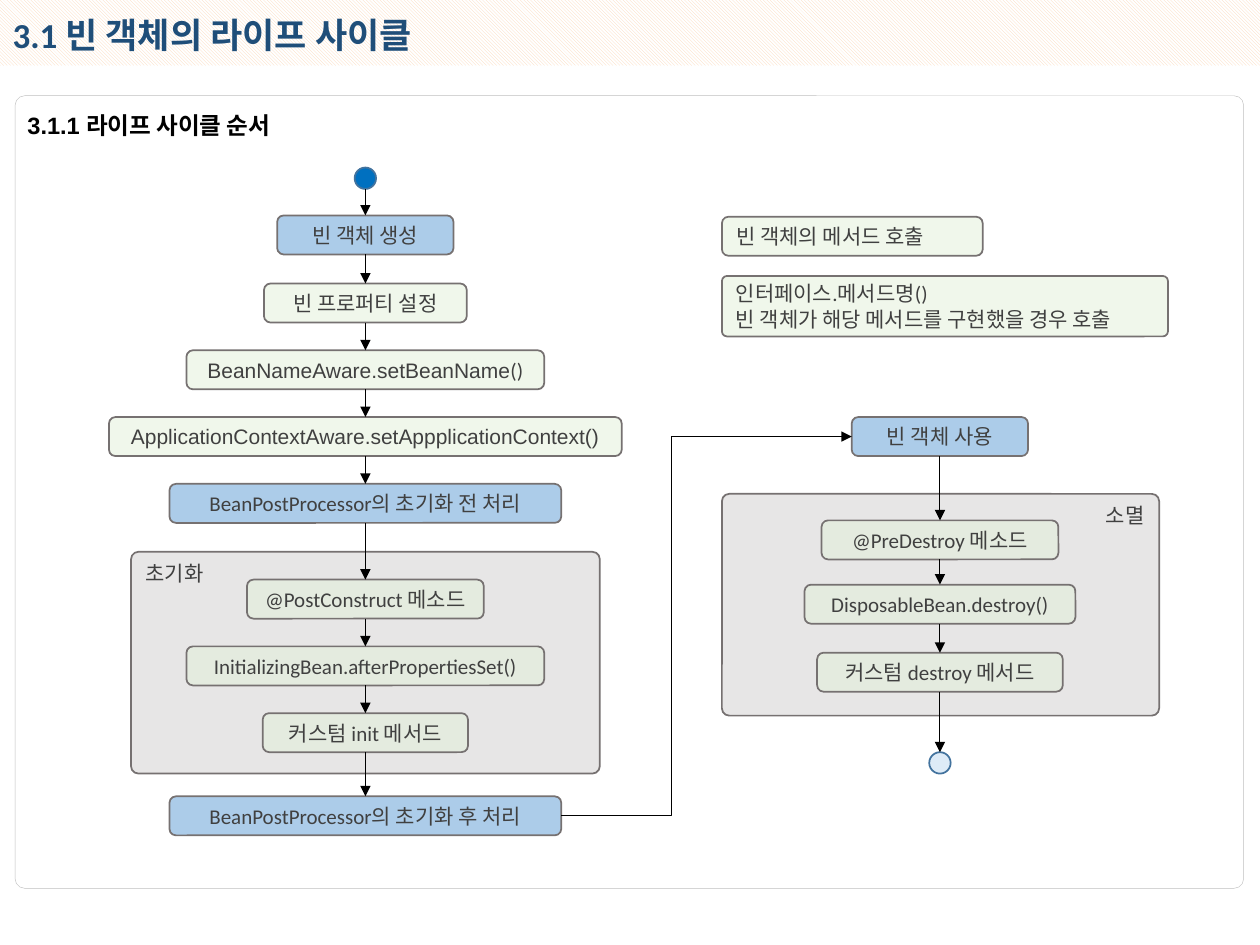
from dataclasses import dataclass

from lxml.etree import SubElement
from pptx import Presentation
from pptx.dml.color import RGBColor
from pptx.enum.dml import MSO_PATTERN as Pattern
from pptx.enum.shapes import MSO_CONNECTOR as Link, MSO_SHAPE as Shape
from pptx.enum.text import MSO_ANCHOR as Anchor, MSO_AUTO_SIZE as Fit, PP_ALIGN as Align
from pptx.oxml.ns import qn
from pptx.util import Inches, Pt


@dataclass(frozen=True)
class Theme:
    font: str = "Calibri"
    code_font: str = "Arial"
    title_size: float = 20
    heading_size: float = 13.5
    text_size: float = 12
    title: str = "1F4E79"
    black: str = "000000"
    text: str = "404040"
    outline: str = "767171"
    stage: str = "5B9BD5"
    call: str = "E2F0D9"
    group: str = "D0CECE"
    start: str = "0070C0"
    end: str = "DEEBF7"
    dot_line: str = "43739E"
    panel_line: str = "BFBFBF"
    band: str = "FCD5B5"
    white: str = "FFFFFF"


THEME = Theme()
NODE_HEIGHT, DOT = 0.31, 0.17
GROUP_HEIGHT, GROUP_CORNER = 1.76, 0.033

# Content
TITLE = "3.1 빈 객체의 라이프 사이클"
HEADING = "3.1.1 라이프 사이클 순서"

# Nodes: text, top, width, fill
CREATE_CENTER, CREATE_DOT_TOP = 2.9, 1.33
CREATE_FLOW = [
    ("빈 객체 생성", 1.71, 1.4, THEME.stage),
    ("빈 프로퍼티 설정", 2.25, 1.61, THEME.call),
    ("BeanNameAware.setBeanName()", 2.78, 2.84, THEME.call),
    ("ApplicationContextAware.setAppplicationContext()", 3.31, 4.07, THEME.call),
    ("BeanPostProcessor의 초기화 전 처리", 3.84, 3.11, THEME.stage),
    ("@PostConstruct 메소드", 4.6, 1.88, THEME.call),
    ("InitializingBean.afterPropertiesSet()", 5.13, 2.84, THEME.call),
    ("커스텀 init 메서드", 5.66, 1.63, THEME.call),
    ("BeanPostProcessor의 초기화 후 처리", 6.32, 3.11, THEME.stage),
]
USE_CENTER, USE_DOT_TOP = 7.46, 5.97
USE_FLOW = [
    ("빈 객체 사용", 3.31, 1.4, THEME.stage),
    ("@PreDestroy 메소드", 4.13, 1.88, THEME.call),
    ("DisposableBean.destroy()", 4.64, 2.15, THEME.call),
    ("커스텀 destroy 메서드", 5.18, 1.95, THEME.call),
]
# Runs set in the code font; the rest of the text keeps the main font
CODE_NAMES = ("BeanNameAware.setBeanName", "ApplicationContextAware.setAppplicationContext()")

# Groups: text, left, top, width, alignment
GROUPS = [
    ("초기화", 1.04, 4.38, 3.72, Align.LEFT),
    ("소멸", 5.73, 3.92, 3.47, Align.RIGHT),
]
# Legend: text, top, width, height, corner
LEGEND_LEFT = 5.73
LEGEND = [
    ("빈 객체의 메서드 호출", 1.72, 2.07, 0.31, None),
    ("인터페이스.메서드명()\n빈 객체가 해당 메서드를 구현했을 경우 호출", 2.19, 3.54, 0.48, 0.084),
]


def color(value):
    return RGBColor.from_string(value)


def format_span(span, size=THEME.text_size, name=THEME.font, rgb=THEME.text, bold=False):
    span.font.size, span.font.name, span.font.bold = Pt(size), name, bold
    span.font.color.rgb = color(rgb)


def place(shape, *area):
    shape.left, shape.top, shape.width, shape.height = map(Inches, area)


def add_shape(page, kind, area, fill=None, line=None, width=1, corner=None, opacity=None):
    shape = page.shapes.add_shape(kind, *map(Inches, area))
    shape.shadow.inherit = False
    if corner is not None:
        shape.adjustments[0] = corner
    if fill:
        shape.fill.solid()
        shape.fill.fore_color.rgb = color(fill)
        if opacity:
            tint = shape.element.spPr.find(".//" + qn("a:srgbClr"))
            SubElement(tint, qn("a:alpha"), val=str(opacity * 1000))
    else:
        shape.fill.background()
    if line:
        shape.line.color.rgb = color(line)
        shape.line.width = Pt(width)
    else:
        shape.line.fill.background()
    return shape


def add_box(page, text, area, fill, align=Align.CENTER, anchor=Anchor.MIDDLE, corner=None):
    box = add_shape(page, Shape.ROUNDED_RECTANGLE, area, fill, THEME.outline,
                    corner=corner, opacity=50)
    frame = box.text_frame
    frame.text, frame.vertical_anchor, frame.word_wrap = text, anchor, True
    for para in frame.paragraphs:
        para.alignment = align
        code = next((name for name in CODE_NAMES if para.text.startswith(name)), None)
        if code:
            rest = para.text[len(code):]
            para.runs[0].text = code
            if rest:
                para.add_run().text = rest
        for span in para.runs:
            format_span(span, name=THEME.code_font if span.text == code else THEME.font)


def add_dot(page, center, top, fill):
    add_shape(page, Shape.OVAL, (center - DOT / 2, top, DOT, DOT), fill, THEME.dot_line)


def add_arrow(page, start, end, bend=None):
    kind = Link.STRAIGHT if bend is None else Link.ELBOW
    arrow = page.shapes.add_connector(kind, *map(Inches, (*start, *end)))
    arrow.line.color.rgb = color(THEME.black)
    arrow.line.width = Pt(0.5)
    SubElement(arrow.line._get_or_add_ln(), qn("a:tailEnd"), type="triangle")
    properties = arrow._element.spPr
    SubElement(properties, qn("a:effectLst"))
    if bend is not None:
        guides = properties.find(".//" + qn("a:avLst"))
        SubElement(guides, qn("a:gd"), name="adj1", fmla=f"val {round(bend * 100000)}")


def add_nodes(page, flow, center):
    for text, top, width, fill in flow:
        add_box(page, text, (center - width / 2, top, width, NODE_HEIGHT), fill)


def add_flow_arrows(page, stops, center):
    """Join each (top, height) stop to the next one below it."""
    for (top, height), (next_top, _) in zip(stops, stops[1:]):
        add_arrow(page, (center, top + height), (center, next_top))


def main():
    deck = Presentation()
    deck.slide_width, deck.slide_height = Inches(10), Inches(7.5)
    page = deck.slides.add_slide(deck.slide_layouts[5])

    # Panel and title band
    add_shape(page, Shape.ROUNDED_RECTANGLE, (0.12, 0.76, 9.75, 6.29),
              line=THEME.panel_line, width=0.25, corner=0.012)
    band = add_shape(page, Shape.RECTANGLE, (0, 0, 10, 0.52))
    band.fill.patterned()
    band.fill.pattern = Pattern.LIGHT_DOWNWARD_DIAGONAL
    band.fill.fore_color.rgb = color(THEME.band)
    band.fill.back_color.rgb = color(THEME.white)

    # Title, brought in front of the band
    title = page.shapes.title
    title.element.getparent().append(title.element)
    place(title, 0, 0.06, 3.69, 0.44)
    heading = page.shapes.add_textbox(*map(Inches, (0.12, 0.83, 9.46, 0.33)))
    for box, text, wrap, style in (
        (title, TITLE, False, (THEME.title_size, THEME.font, THEME.title, True)),
        (heading, HEADING, True, (THEME.heading_size, THEME.code_font, THEME.black, True)),
    ):
        frame = box.text_frame
        frame.text, frame.word_wrap = text, wrap
        frame.auto_size, frame.vertical_anchor = Fit.SHAPE_TO_FIT_TEXT, Anchor.TOP
        frame.paragraphs[0].alignment = Align.LEFT
        format_span(frame.paragraphs[0].runs[0], *style)

    # Groups, then the nodes that stand on them
    for text, left, top, width, align in GROUPS:
        add_box(page, text, (left, top, width, GROUP_HEIGHT), THEME.group,
                align, Anchor.TOP, GROUP_CORNER)
    add_dot(page, CREATE_CENTER, CREATE_DOT_TOP, THEME.start)
    add_nodes(page, CREATE_FLOW, CREATE_CENTER)
    add_nodes(page, USE_FLOW, USE_CENTER)
    add_dot(page, USE_CENTER, USE_DOT_TOP, THEME.end)

    # Arrows down each column and across
    create_stops = [(top, NODE_HEIGHT) for _, top, _, _ in CREATE_FLOW]
    use_stops = [(top, NODE_HEIGHT) for _, top, _, _ in USE_FLOW]
    add_flow_arrows(page, [(CREATE_DOT_TOP, DOT)] + create_stops, CREATE_CENTER)
    add_flow_arrows(page, use_stops + [(USE_DOT_TOP, DOT)], USE_CENTER)
    _, last_top, last_width, _ = CREATE_FLOW[-1]
    _, use_top, use_width, _ = USE_FLOW[0]
    add_arrow(page, (CREATE_CENTER + last_width / 2, last_top + NODE_HEIGHT / 2),
              (USE_CENTER - use_width / 2, use_top + NODE_HEIGHT / 2), bend=0.38)

    # Legend
    for text, top, width, height, corner in LEGEND:
        add_box(page, text, (LEGEND_LEFT, top, width, height), THEME.call,
                Align.LEFT, corner=corner)

    deck.save("out.pptx")


if __name__ == "__main__":
    main()
